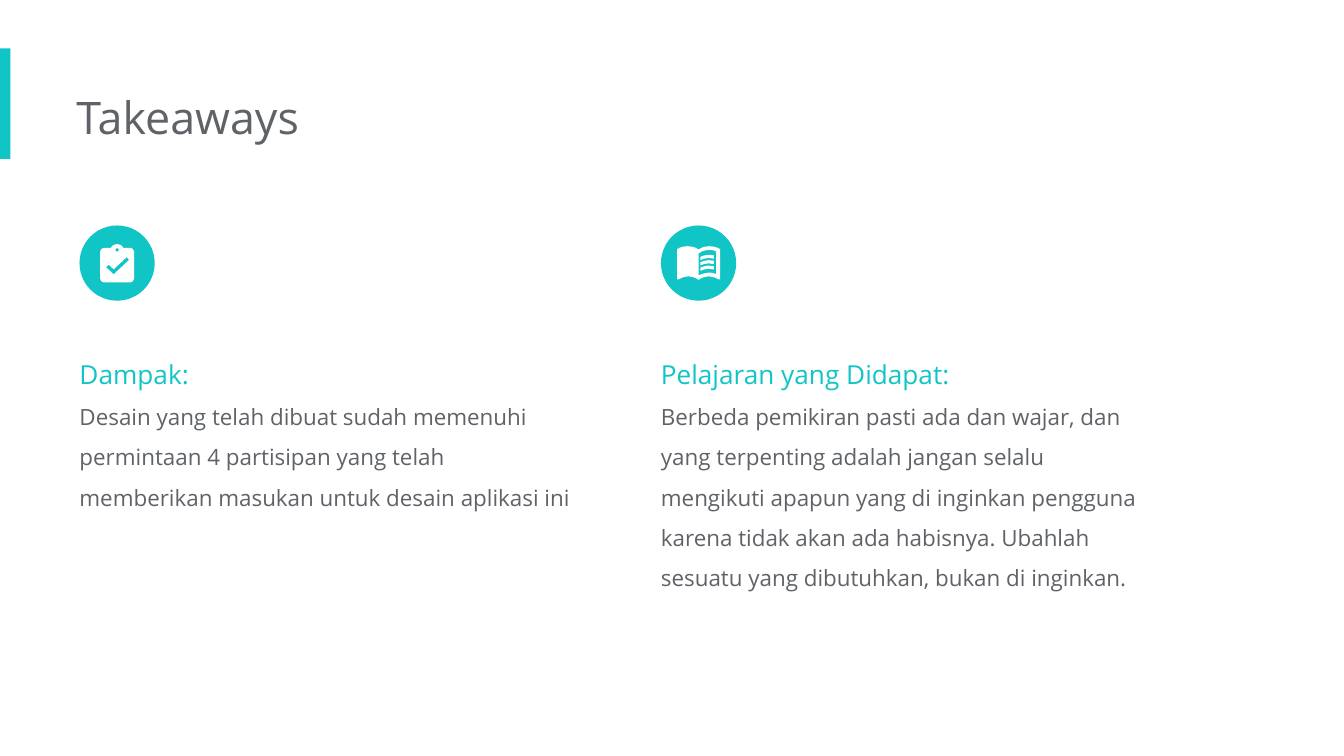
from math import cos, pi, sin

from pptx import Presentation
from pptx.dml.color import RGBColor
from pptx.enum.shapes import MSO_SHAPE
from pptx.enum.text import MSO_AUTO_SIZE
from pptx.util import Pt

HUES = {"teal": "11C5C6", "grey": "5F6368", "white": "FFFFFF"}
FONT = "Open Sans"
DISC = 40.3
MID = DISC / 2
UNITS = 100  # freeform units per point


def mirror(half):
    """Close a left half, listed top to bottom, with its right half."""
    return half + [(DISC - x, y) for x, y in reversed(half)]


def ring(x, y, r, n=12):
    return [(x + r * cos(2 * pi * i / n), y + r * sin(2 * pi * i / n))
            for i in range(n)]


# Icon contours, in points from the top left of the disc
BOARD = mirror([
    (MID, 10), (18.6, 10.3), (17.5, 11), (16.9, 12), (13, 12), (11.7, 12.6),
    (11.1, 13.9), (11.1, 28.6), (11.7, 29.9), (13, 30.5), (MID, 30.5),
])
TICK = [(18.3, 26.2), (14.3, 22.4), (15.6, 21), (18.3, 23.5),
        (25.3, 17), (26.6, 18.4)]
BOOK = mirror([
    (MID, 12.9), (18.5, 11.9), (16.8, 11.4), (14.4, 11.1), (12.2, 11.3),
    (10.1, 11.9), (8.6, 12.7), (8.6, 28.5), (8.9, 28.9), (9.4, 28.9),
    (11.4, 27.9), (13.4, 27.4), (15, 27.3), (17.3, 27.7), (19, 28.4),
    (MID, 29.1),
])
PAGE = [
    (20.2, 15), (22, 13.9), (24, 13.3), (26, 13.1), (27.8, 13.2),
    (29.5, 13.8), (29.5, 26), (27.5, 25.4), (25.9, 25.2), (23.5, 25.6),
    (21.7, 26.1), (20.2, 26.8),
]
LINE = [(21.1, 16.8), (23, 16.1), (25.5, 15.7), (28.3, 16),
        (28.3, 17.8), (25.5, 17.4), (23, 17.8), (21.1, 18.5)]
LINES = [[(x, y + 2.9 * i) for x, y in LINE] for i in range(3)]

TITLE = "Takeaways"
PARTS = [
    ("Dampak:",
     "Desain yang telah dibuat sudah memenuhi permintaan 4 partisipan yang "
     "telah memberikan masukan untuk desain aplikasi ini",
     105, [BOARD, ring(MID, 13.1, 0.9), TICK]),
    ("Pelajaran yang Didapat:",
     "Berbeda pemikiran pasti ada dan wajar, dan yang terpenting adalah "
     "jangan selalu mengikuti apapun yang di inginkan pengguna karena tidak "
     "akan ada habisnya. Ubahlah sesuatu yang dibutuhkan, bukan di inginkan.",
     149, [BOOK, PAGE] + LINES),
]
LEFT, STEP, WIDE = 42.6, 311.5, 271.5
DISC_TOP, TEXT_TOP = 120.8, 176.4

FRAME = {
    "word_wrap": True, "auto_size": MSO_AUTO_SIZE.SHAPE_TO_FIT_TEXT,
    "margin_left": 0, "margin_right": Pt(7.2),
    "margin_top": Pt(7.2), "margin_bottom": Pt(7.2),
}


def hue(name):
    return RGBColor.from_string(HUES[name])


def style(item, form):
    for key, value in form.items():
        setattr(item, key, value)


def paint(shape, name):
    shape.shadow.inherit = False
    shape.fill.solid()
    shape.fill.fore_color.rgb = hue(name)
    shape.line.fill.background()


def block(shapes, box, rows, gap):
    """Add a text box; each row is text, size and colour."""
    frame = shapes.add_textbox(*map(Pt, box)).text_frame
    style(frame, FRAME)
    for i, (text, size, name) in enumerate(rows):
        para = frame.add_paragraph() if i else frame.paragraphs[0]
        para.line_spacing = gap
        run = para.add_run()
        run.text = text
        style(run.font, {"name": FONT, "size": Pt(size)})
        run.font.color.rgb = hue(name)


def icon(shapes, left, top, rings):
    """Draw all contours as one outline, so inner ones cut holes."""
    rings = [[(x * UNITS, y * UNITS) for x, y in part] for part in rings]
    pen = shapes.build_freeform(*rings[0][0], scale=Pt(1) / UNITS)
    for i, part in enumerate(rings):
        if i:
            pen.move_to(*part[0])
        pen.add_line_segments(part[1:], close=True)
    paint(pen.convert_to_shape(Pt(left), Pt(top)), "white")


def main():
    deck = Presentation()
    style(deck, {"slide_width": Pt(720), "slide_height": Pt(405)})
    shapes = deck.slides.add_slide(deck.slide_layouts[6]).shapes

    bar = shapes.add_shape(MSO_SHAPE.RECTANGLE, 0, Pt(26), Pt(5.6), Pt(59.2))
    paint(bar, "teal")
    block(shapes, (41, 41, 388, 44), [(TITLE, 24, "grey")], 1)

    for i, (head, body, high, rings) in enumerate(PARTS):
        left = LEFT + i * STEP
        rows = [(head, 14, "teal"), (body, 12, "grey")]
        block(shapes, (left, TEXT_TOP, WIDE, high), rows, 1.5)
        disc = shapes.add_shape(
            MSO_SHAPE.OVAL, *map(Pt, (left, DISC_TOP, DISC, DISC)))
        paint(disc, "teal")
        icon(shapes, left, DISC_TOP, rings)

    deck.save("out.pptx")


if __name__ == "__main__":
    main()
